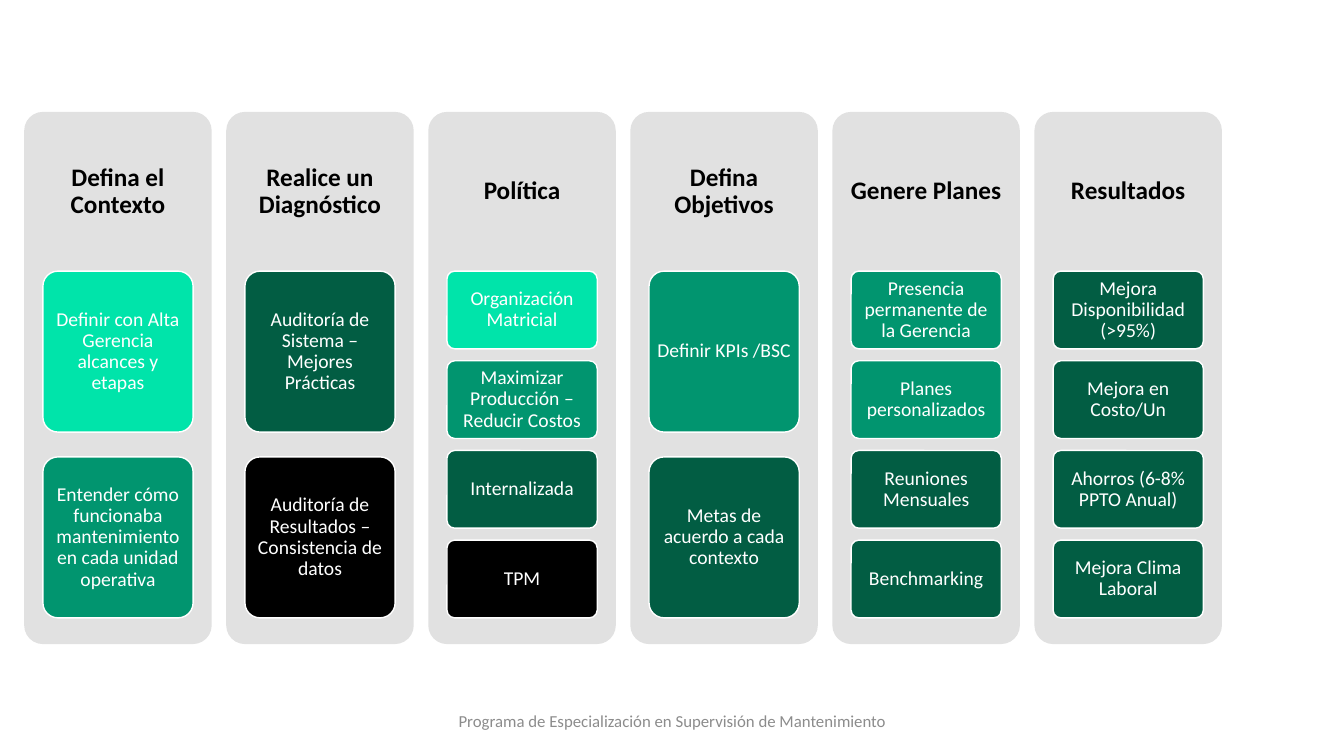
"""Builds a slide with six maintenance management stages and their actions."""
from pptx import Presentation
from pptx.dml.color import RGBColor
from pptx.enum.shapes import MSO_SHAPE
from pptx.enum.text import MSO_ANCHOR, PP_ALIGN
from pptx.util import Inches, Pt

ROUNDED = MSO_SHAPE.ROUNDED_RECTANGLE
MIDDLE = MSO_ANCHOR.MIDDLE
CENTER = PP_ALIGN.CENTER

COLORS = {
    "panel": "E1E1E1", "mint": "00E4AA", "green": "01956F", "forest": "025D43",
    "black": "000000", "white": "FFFFFF", "footer": "8C8C8C",
}
FONT = "Calibri"
FOOTER = "Programa de Especialización en Supervisión de Mantenimiento"
STAGES = [
    ("Defina el Contexto", [
        ("Definir con Alta Gerencia alcances y etapas", "mint"),
        ("Entender cómo funcionaba mantenimiento en cada unidad operativa", "green"),
    ]),
    ("Realice un Diagnóstico", [
        ("Auditoría de Sistema – Mejores Prácticas", "forest"),
        ("Auditoría de Resultados – Consistencia de datos", "black"),
    ]),
    ("Política", [
        ("Organización Matricial", "mint"),
        ("Maximizar Producción – Reducir Costos", "green"),
        ("Internalizada", "forest"),
        ("TPM", "black"),
    ]),
    ("Defina Objetivos", [
        ("Definir KPIs /BSC", "green"),
        ("Metas de acuerdo a cada contexto", "forest"),
    ]),
    ("Genere Planes", [
        ("Presencia permanente de la Gerencia", "green"),
        ("Planes personalizados", "green"),
        ("Reuniones Mensuales", "forest"),
        ("Benchmarking", "forest"),
    ]),
    ("Resultados", [
        ("Mejora Disponibilidad (>95%)", "forest"),
        ("Mejora en Costo/Un", "forest"),
        ("Ahorros (6-8% PPTO Anual)", "forest"),
        ("Mejora Clima Laboral", "forest"),
    ]),
]

PANEL_LEFT, PANEL_TOP, PANEL_WIDTH, PANEL_HEIGHT = 0.24, 1.11, 1.86, 5.28
PANEL_PITCH = 10.02 / 5
ACTION_WIDTH = 1.49
ACTION_INDENT = (PANEL_WIDTH - ACTION_WIDTH) / 2
ACTIONS_TOP, ACTIONS_HEIGHT = 2.69, 3.44
GAP_RATIO = 0.154
CORNER = 0.1


def write(shape, text, size, color, bold=False, spacing=0.9, insets=(0.03, 0.03, 0.03, 0.03)):
    frame = shape.text_frame
    frame.word_wrap = True
    frame.vertical_anchor = MIDDLE
    frame.margin_left, frame.margin_top, frame.margin_right, frame.margin_bottom = map(Inches, insets)
    paragraph = frame.paragraphs[0]
    paragraph.alignment = CENTER
    paragraph.line_spacing = spacing
    run = paragraph.add_run()
    run.text = text
    run.font.name = FONT
    run.font.size = Pt(size)
    run.font.bold = bold
    run.font.color.rgb = RGBColor.from_string(COLORS[color])


def add_card(slide, left, top, width, height, fill, outline=None):
    card = slide.shapes.add_shape(ROUNDED, *map(Inches, (left, top, width, height)))
    card.adjustments[0] = CORNER
    card.shadow.inherit = False
    card.fill.solid()
    card.fill.fore_color.rgb = RGBColor.from_string(COLORS[fill])
    if outline:
        card.line.color.rgb = RGBColor.from_string(COLORS[outline])
        card.line.width = Pt(1)
    else:
        card.line.fill.background()
    return card


def add_stage(slide, left, title, actions):
    panel = add_card(slide, left, PANEL_TOP, PANEL_WIDTH, PANEL_HEIGHT, "panel")
    write(panel, title, 18, "black", bold=True, insets=(0.05, 0.05, 0.05, 3.75))
    count = len(actions)
    height = ACTIONS_HEIGHT / (count + (count - 1) * GAP_RATIO)
    for row, (text, fill) in enumerate(actions):
        top = ACTIONS_TOP + row * height * (1 + GAP_RATIO)
        action = add_card(slide, left + ACTION_INDENT, top, ACTION_WIDTH, height, fill, "white")
        write(action, text, 14, "white")


def main():
    deck = Presentation()
    deck.slide_width, deck.slide_height = Inches(13.33), Inches(7.5)
    slide = deck.slides.add_slide(deck.slide_layouts[6])
    footer = slide.shapes.add_textbox(*map(Inches, (4.42, 6.95, 4.5, 0.4)))
    write(footer, FOOTER, 12, "footer", spacing=1.0, insets=(0.1, 0.05, 0.1, 0.05))
    for column, (title, actions) in enumerate(STAGES):
        add_stage(slide, PANEL_LEFT + column * PANEL_PITCH, title, actions)
    deck.save("out.pptx")


if __name__ == "__main__":
    main()
